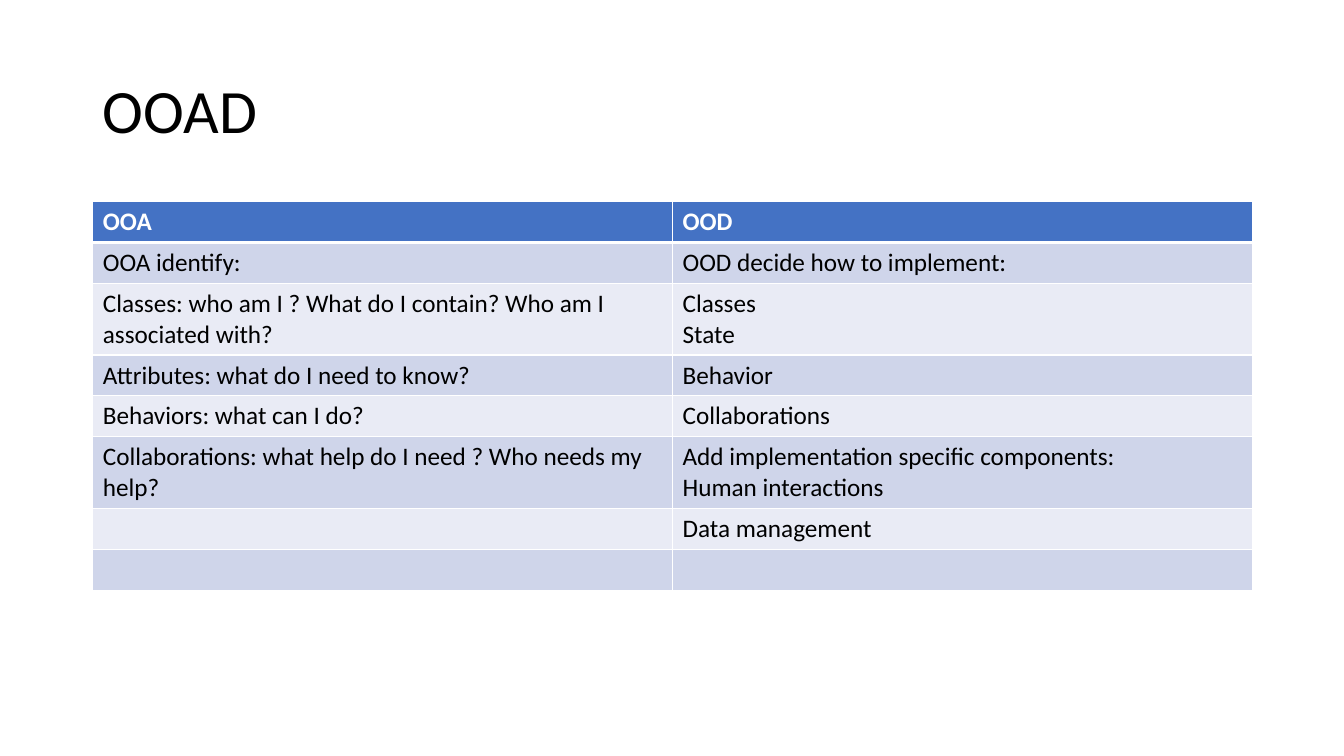
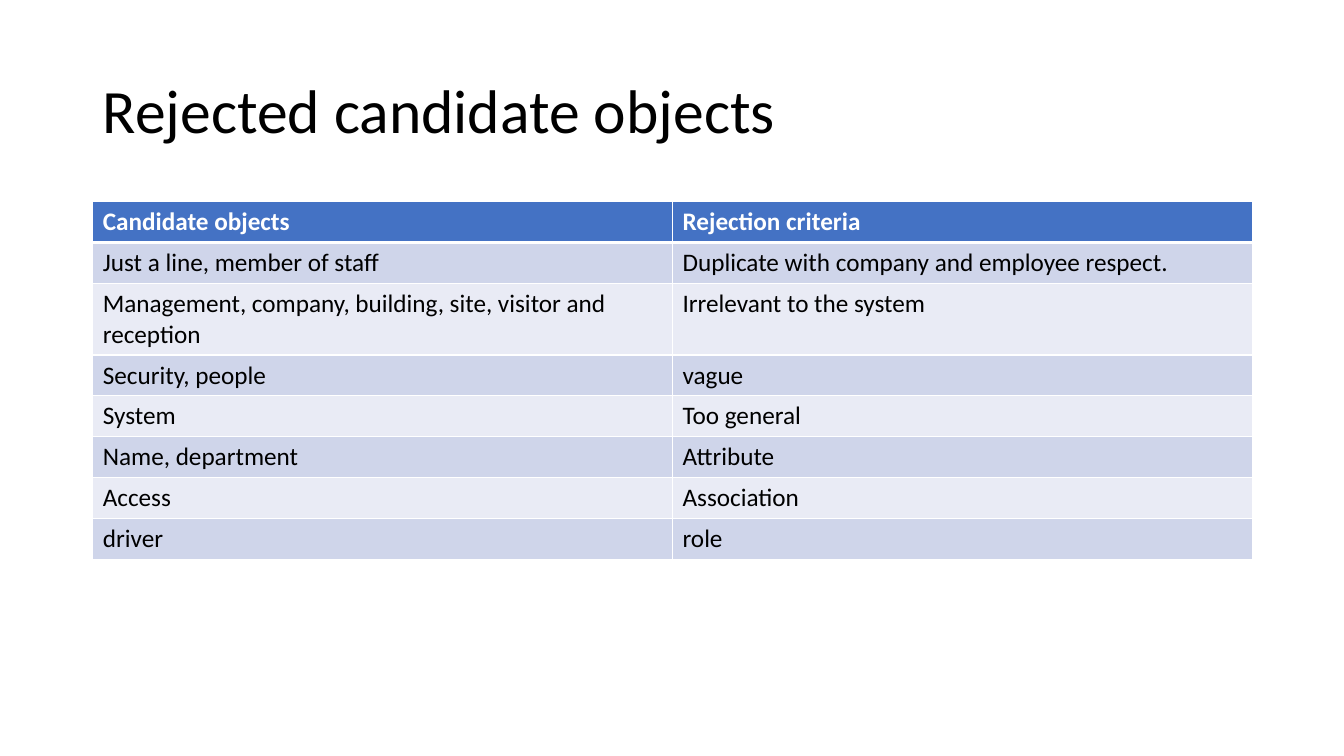
"""Build two slides that each pair a title with a two-column table."""
from dataclasses import dataclass

import pptx
import pptx.dml.color
import pptx.enum.text
import pptx.oxml
import pptx.oxml.ns
import pptx.util

Inches, Pt = pptx.util.Inches, pptx.util.Pt
RGBColor = pptx.dml.color.RGBColor
PP_ALIGN, MSO_ANCHOR = pptx.enum.text.PP_ALIGN, pptx.enum.text.MSO_ANCHOR

FONT = "Calibri"
BLACK = RGBColor(0x00, 0x00, 0x00)
WHITE = RGBColor(0xFF, 0xFF, 0xFF)
BLUE = RGBColor(0x44, 0x72, 0xC4)
BANDS = (RGBColor(0xE9, 0xEB, 0xF5), RGBColor(0xCF, 0xD5, 0xEA))

LEFT, WIDTH = Inches(0.92), Inches(11.5)
TITLE_TOP, TITLE_HEIGHT = Inches(0.4), Inches(1.45)
TABLE_TOP, TABLE_HEIGHT = Inches(2), Inches(3.24)
TITLE_ONLY = 5


@dataclass(frozen=True)
class TableSlide:
    title: str
    rows: tuple[tuple[str, str], ...]


SLIDES = (
    TableSlide("OOAD", (
        ("OOA", "OOD"),
        ("OOA identify:", "OOD decide how to implement:"),
        ("Classes: who am I ? What do I contain? Who am I associated with?",
         "Classes\nState"),
        ("Attributes: what do I need to know?", "Behavior"),
        ("Behaviors: what can I do?", "Collaborations"),
        ("Collaborations: what help do I need ? Who needs my help?",
         "Add implementation specific components:\nHuman interactions"),
        ("", "Data management"),
        ("", ""),
    )),
    TableSlide("Rejected candidate objects", (
        ("Candidate objects", "Rejection criteria"),
        ("Just a line, member of staff",
         "Duplicate with company and employee respect."),
        ("Management, company, building, site, visitor and reception",
         "Irrelevant to the system"),
        ("Security, people", "vague"),
        ("System", "Too general"),
        ("Name, department", "Attribute"),
        ("Access", "Association"),
        ("driver", "role"),
    )),
)


def write_text(tf, text: str, *, size: float = 18, color: RGBColor = BLACK,
               bold: bool = False, spacing: float = 1.0) -> None:
    tf.text = text
    for p in tf.paragraphs:
        p.alignment = PP_ALIGN.LEFT
        p.line_spacing = spacing
        p.font.size = Pt(size)
        for r in p.runs:
            r.font.name = FONT
            r.font.size = Pt(size)
            r.font.bold = bold
            r.font.color.rgb = color


def set_borders(cell, *, top: float, bottom: float) -> None:
    tc_pr = cell._tc.get_or_add_tcPr()
    widths = {"L": 1, "R": 1, "T": top, "B": bottom}
    for i, (side, width) in enumerate(widths.items()):
        tc_pr.insert(i, pptx.oxml.parse_xml(
            f'<a:ln{side} {pptx.oxml.ns.nsdecls("a")} w="{int(Pt(width))}">'
            f'<a:solidFill><a:srgbClr val="{WHITE}"/></a:solidFill>'
            f'</a:ln{side}>'))


def add_title(s, text: str) -> None:
    sp = s.shapes.title
    sp.left, sp.top, sp.width, sp.height = LEFT, TITLE_TOP, WIDTH, TITLE_HEIGHT
    tf = sp.text_frame
    tf.word_wrap = True
    tf.vertical_anchor = MSO_ANCHOR.MIDDLE
    write_text(tf, text, size=44, spacing=0.9)


def add_table(s, rows: tuple[tuple[str, str], ...]) -> None:
    table = s.shapes.add_table(len(rows), len(rows[0]), LEFT, TABLE_TOP,
                               WIDTH, TABLE_HEIGHT).table
    for i, row in enumerate(rows):
        header = i == 0
        for j, text in enumerate(row):
            cell = table.cell(i, j)
            cell.fill.solid()
            cell.fill.fore_color.rgb = BLUE if header else BANDS[i % 2]
            set_borders(cell, top=3 if i == 1 else 1, bottom=3 if header else 1)
            write_text(cell.text_frame, text, bold=header,
                       color=WHITE if header else BLACK)


def main() -> None:
    prs = pptx.Presentation()
    prs.slide_width, prs.slide_height = Inches(13.33), Inches(7.5)
    for content in SLIDES:
        s = prs.slides.add_slide(prs.slide_layouts[TITLE_ONLY])
        add_title(s, content.title)
        add_table(s, content.rows)
    prs.save("out.pptx")


if __name__ == "__main__":
    main()
